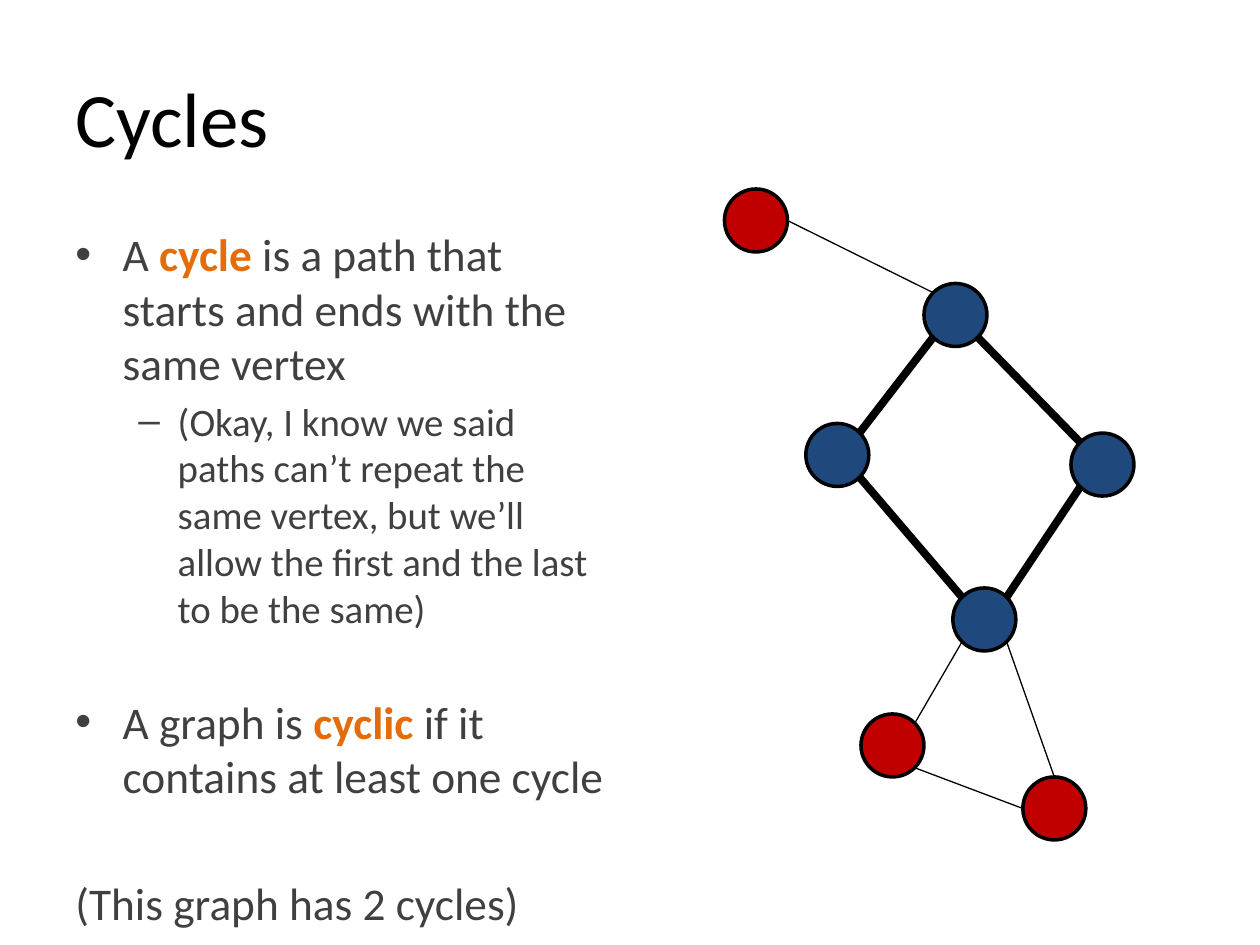
from math import cos, radians, sin

from lxml.etree import SubElement
from pptx import Presentation
from pptx.dml.color import RGBColor
from pptx.enum.shapes import MSO_CONNECTOR as Connector, MSO_SHAPE as Shape
from pptx.enum.text import MSO_ANCHOR as Anchor, PP_ALIGN as Align
from pptx.oxml.ns import qn
from pptx.util import Pt

BLACK = RGBColor(0x00, 0x00, 0x00)
GREY = RGBColor(0x40, 0x40, 0x40)
ORANGE = RGBColor(0xE4, 0x6C, 0x0A)
RED = RGBColor(0xC0, 0x00, 0x00)
BLUE = RGBColor(0x1F, 0x49, 0x7D)

FONT = "Calibri"
DIAMETER = 36
THIN, THICK = 0.75, 4.5

# Vertices: centre x, centre y, colour
VERTICES = {
    "tail": (432, 126, RED),
    "top": (546, 180, BLUE),
    "left": (478.5, 260, BLUE),
    "bottom": (562.5, 354, BLUE),
    "right": (630, 265.5, BLUE),
    "lower right": (602.5, 462, RED),
    "lower left": (510, 426, RED),
}

# Compass points on a vertex, in degrees clockwise from east
COMPASS = {"E": 0, "SE": 45, "SW": 135, "NW": 225, "N": 270, "NE": 315, "W": 180}

# Edges: start vertex and side, end vertex and side, width
EDGES = [
    ("bottom", "SE", "lower right", "N", THIN),
    ("lower right", "W", "lower left", "SE", THIN),
    ("lower left", "NE", "bottom", "SW", THIN),
    ("tail", "E", "top", "NW", THIN),
    ("left", "NE", "top", "SW", THICK),
    ("top", "SE", "right", "NW", THICK),
    ("left", "SE", "bottom", "NW", THICK),
    ("right", "SW", "bottom", "NE", THICK),
]

# Paragraph levels: size, line pitch, left margin, hanging indent, bullet
POINT = (25.9, 31, 27, 27, "•")
ASIDE = (22.2, 26.7, 58.5, 22.5, "–")
PLAIN = (25.9, 31, 0, 0, None)

# Paragraphs: level, space before, runs as (text, is key term)
BODY = [
    (POINT, 0, [("A ", False), ("cycle ", True),
                ("is a path that starts and ends with the same vertex", False)]),
    (ASIDE, 4.4, [("(Okay, I know we said paths can’t repeat the same vertex, "
                   "but we’ll allow the first and the last to be the same)", False)]),
    (POINT, 36, [("A graph is ", False), ("cyclic ", True),
                 ("if it contains at least one cycle", False)]),
    (PLAIN, 41.5, [("(This graph has 2 cycles)", False)]),
]


def add_text_frame(slide, left, top, width, height, anchor):
    frame = slide.shapes.add_textbox(Pt(left), Pt(top), Pt(width), Pt(height)).text_frame
    frame.word_wrap = True
    frame.vertical_anchor = anchor
    return frame


def add_run(paragraph, text, size, color, bold=False):
    run = paragraph.add_run()
    run.text = text
    run.font.name = FONT
    run.font.size = Pt(size)
    run.font.bold = bold
    run.font.color.rgb = color


def format_paragraph(paragraph, level, space_before):
    _, pitch, margin, hanging, bullet = level
    paragraph.alignment = Align.LEFT
    paragraph.line_spacing = Pt(pitch)
    paragraph.space_before = Pt(space_before)
    if bullet:
        properties = paragraph._p.get_or_add_pPr()
        properties.set("marL", str(Pt(margin)))
        properties.set("indent", str(-Pt(hanging)))
        SubElement(properties, qn("a:buFont"), typeface="Arial")
        SubElement(properties, qn("a:buChar"), char=bullet)


def add_body(slide):
    frame = add_text_frame(slide, 36, 126, 318.5, 408, Anchor.TOP)
    for index, (level, space_before, runs) in enumerate(BODY):
        paragraph = frame.add_paragraph() if index else frame.paragraphs[0]
        format_paragraph(paragraph, level, space_before)
        for text, is_term in runs:
            add_run(paragraph, text, level[0], ORANGE if is_term else GREY, is_term)


def add_vertex(slide, x, y, color):
    radius = DIAMETER / 2
    vertex = slide.shapes.add_shape(
        Shape.OVAL, Pt(x - radius), Pt(y - radius), Pt(DIAMETER), Pt(DIAMETER))
    vertex.shadow.inherit = False
    vertex.fill.solid()
    vertex.fill.fore_color.rgb = color
    vertex.line.color.rgb = BLACK
    vertex.line.width = Pt(2)


def rim_point(vertex, side):
    x, y, _ = VERTICES[vertex]
    angle = radians(COMPASS[side])
    return Pt(x + DIAMETER / 2 * cos(angle)), Pt(y + DIAMETER / 2 * sin(angle))


def add_edge(slide, start, start_side, end, end_side, width):
    edge = slide.shapes.add_connector(
        Connector.STRAIGHT, *rim_point(start, start_side), *rim_point(end, end_side))
    edge.line.color.rgb = BLACK
    edge.line.width = Pt(width)
    SubElement(edge._element.spPr, qn("a:effectLst"))


def main():
    deck = Presentation()
    deck.slide_width, deck.slide_height = Pt(720), Pt(540)
    slide = deck.slides.add_slide(deck.slide_layouts[6])

    # Title and explanation
    title = add_text_frame(slide, 36, 21.6, 648, 90, Anchor.MIDDLE)
    add_run(title.paragraphs[0], "Cycles", 44, BLACK)
    add_body(slide)

    # Graph
    for x, y, color in VERTICES.values():
        add_vertex(slide, x, y, color)
    for edge in EDGES:
        add_edge(slide, *edge)

    deck.save("out.pptx")


if __name__ == "__main__":
    main()
